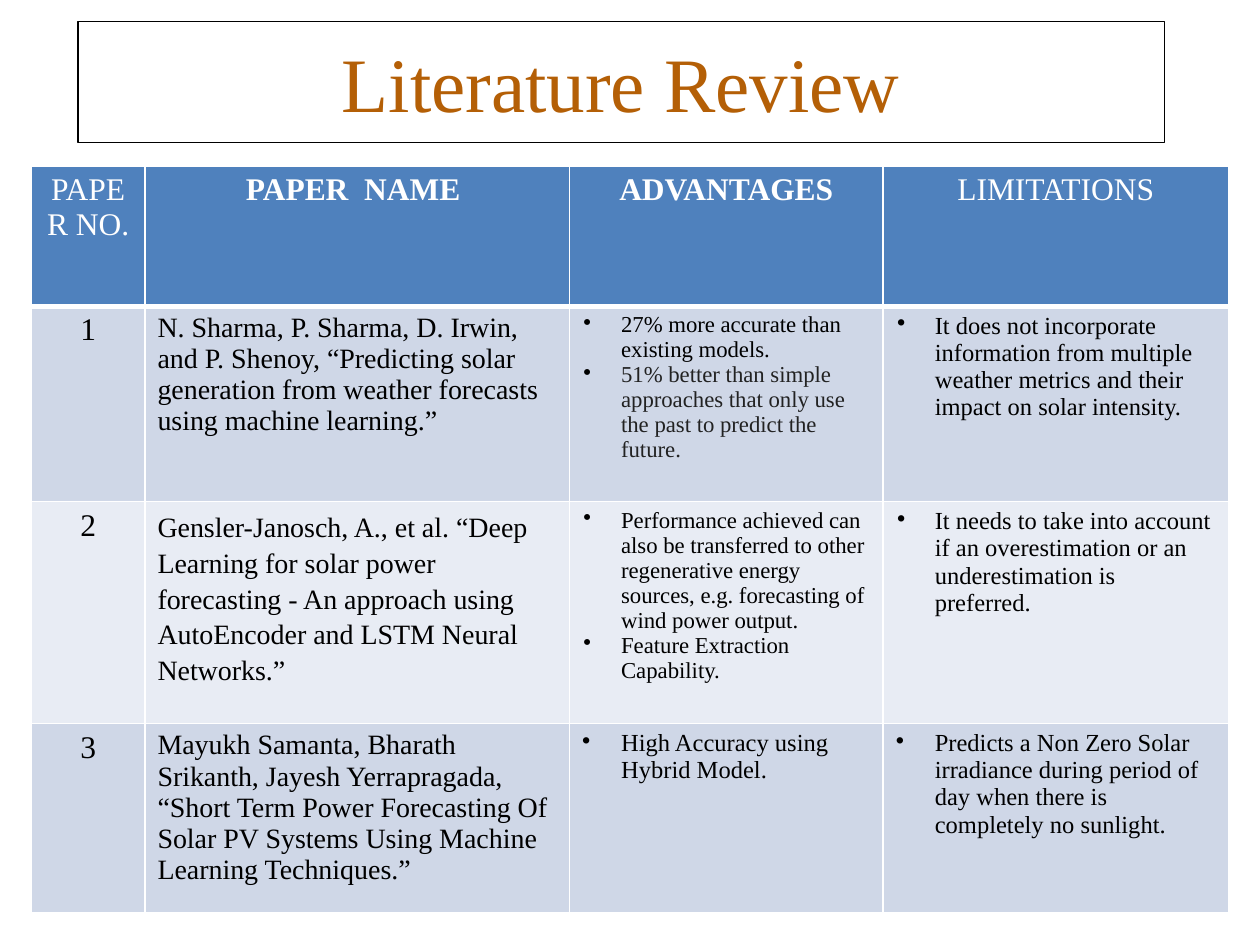
import dataclasses

import lxml.etree
import pptx
import pptx.dml.color
import pptx.enum.shapes
import pptx.enum.text
import pptx.oxml.ns
import pptx.util

ALIGN = pptx.enum.text.PP_ALIGN


@dataclasses.dataclass(frozen=True)
class Theme:
    """Colours, type sizes and font of the slide."""

    font: str = "Times New Roman"
    title: str = "B45F06"
    ink: str = "000000"
    soft_ink: str = "222222"
    paper: str = "FFFFFF"
    header: str = "4F81BD"
    bands: tuple = ("CFD7E7", "E8ECF4")
    title_size: int = 44
    label_size: int = 18
    name_size: int = 16
    point_size: int = 14
    dense_size: int = 13


THEME = Theme()
WIDTH, HEIGHT = pptx.util.Inches(10), pptx.util.Inches(7.5)
COLUMNS = (0.9, 3.37, 2.49, 2.74)
ROWS = (1.11, 1.55, 1.76, 1.5)
HEADINGS = (("PAPER NO.", False), ("PAPER  NAME ", True), ("ADVANTAGES", True), ("LIMITATIONS", False))


@dataclasses.dataclass(frozen=True)
class Paper:
    """One reviewed paper: its citation, advantages and limitation."""

    citation: tuple
    advantages: tuple
    limitation: str
    advantage_size: int = THEME.dense_size
    advantage_inks: tuple = (THEME.ink, THEME.ink)
    spacing: float = 1.0
    hang: float = 0.3


PAPERS = (
    Paper(
        ("N. Sharma, P. Sharma, D. Irwin, and P. Shenoy, “Predicting solar",
         "generation from weather forecasts using machine learning.”"),
        ("27% more accurate than existing models.",
         "51% better than simple approaches that only use the past to predict the future."),
        "It does not incorporate information from multiple weather metrics and their impact on solar intensity.",
        advantage_inks=(THEME.ink, THEME.soft_ink),
    ),
    Paper(
        ("Gensler-Janosch, A., et al. “Deep Learning for solar power forecasting - "
         "An approach using AutoEncoder and LSTM Neural Networks.”",),
        ("Performance achieved can also be transferred to other regenerative energy sources, "
         "e.g. forecasting of wind power output.",
         "Feature Extraction Capability."),
        "It needs to take into account if an overestimation or an underestimation is preferred.",
        spacing=1.15,
    ),
    Paper(
        ("Mayukh Samanta, Bharath Srikanth, Jayesh Yerrapragada, “Short Term Power Forecasting "
         "Of Solar PV Systems Using Machine Learning Techniques.”",),
        ("High Accuracy using Hybrid Model.",),
        "Predicts a Non Zero Solar irradiance during period of day when there is completely no sunlight.",
        advantage_size=THEME.point_size,
        hang=0.31,
    ),
)


def rgb(colour):
    """Return the colour object for a hex string."""
    return pptx.dml.color.RGBColor.from_string(colour)


def add_element(parent, tag, **attributes):
    """Append a DrawingML element to its parent."""
    return lxml.etree.SubElement(parent, pptx.oxml.ns.qn(tag), attributes)


def write(frame, lines, size, inks, align=ALIGN.LEFT, bold=False, spacing=1.0):
    """Fill a text frame with one paragraph for each line."""
    for index, (line, ink) in enumerate(zip(lines, inks)):
        paragraph = frame.paragraphs[0] if index == 0 else frame.add_paragraph()
        paragraph.text = line
        paragraph.alignment = align
        paragraph.line_spacing = spacing
        paragraph.font.name = THEME.font
        paragraph.font.size = pptx.util.Pt(size)
        paragraph.font.bold = bold
        paragraph.font.color.rgb = rgb(ink)


def add_bullets(frame, hang):
    """Give every paragraph a black bullet with a hanging indent."""
    for paragraph in frame.paragraphs:
        properties = paragraph._p.get_or_add_pPr()
        properties.set("marL", str(pptx.util.Inches(0.31)))
        properties.set("indent", str(-pptx.util.Inches(hang)))
        bullet_colour = lxml.etree.Element(pptx.oxml.ns.qn("a:buClr"))
        add_element(bullet_colour, "a:srgbClr", val=THEME.ink)
        bullet = lxml.etree.Element(pptx.oxml.ns.qn("a:buChar"), char="•")
        defaults = properties.find(pptx.oxml.ns.qn("a:defRPr"))
        defaults.addprevious(bullet_colour)
        defaults.addprevious(bullet)


def style_cell(cell, fill, top=1, bottom=1):
    """Draw the white borders of a cell and fill it."""
    properties = cell._tc.get_or_add_tcPr()
    for side, points in (("L", 1), ("R", 1), ("T", top), ("B", bottom)):
        border = add_element(properties, f"a:ln{side}", w=str(pptx.util.Pt(points)))
        add_element(add_element(border, "a:solidFill"), "a:srgbClr", val=THEME.paper)
    cell.fill.solid()
    cell.fill.fore_color.rgb = rgb(fill)


def add_title(slide, left, top, width, height):
    """Place the framed slide title in its box."""
    title = slide.shapes.add_shape(pptx.enum.shapes.MSO_SHAPE.RECTANGLE, left, top, width, height)
    title.shadow.inherit = False
    title.fill.background()
    title.line.color.rgb = rgb(THEME.ink)
    title.line.width = pptx.util.Pt(0.75)
    title.text_frame.word_wrap = True
    title.text_frame.vertical_anchor = pptx.enum.text.MSO_ANCHOR.MIDDLE
    write(title.text_frame, ["Literature Review"], THEME.title_size, [THEME.title], ALIGN.CENTER)


def add_header(review):
    """Fill the heading row of the review table."""
    for cell, (heading, bold) in zip(review.rows[0].cells, HEADINGS):
        style_cell(cell, THEME.header, bottom=3)
        write(cell.text_frame, [heading], THEME.label_size, [THEME.paper], ALIGN.CENTER, bold)


def add_paper(review, number, paper):
    """Fill the row of one reviewed paper."""
    cells = review.rows[number].cells
    for cell in cells:
        style_cell(cell, THEME.bands[(number - 1) % 2], top=3 if number == 1 else 1)
    label, citation, advantages, limitation = (cell.text_frame for cell in cells)
    write(label, [str(number)], THEME.label_size, [THEME.ink], ALIGN.CENTER)
    write(citation, paper.citation, THEME.name_size, [THEME.ink] * len(paper.citation), spacing=paper.spacing)
    write(advantages, paper.advantages, paper.advantage_size, paper.advantage_inks)
    write(limitation, [paper.limitation], THEME.point_size, [THEME.ink])
    for points in (advantages, limitation):
        add_bullets(points, paper.hang)


def add_review(slide, left, top, width, height):
    """Place the table of reviewed papers in its box."""
    review = slide.shapes.add_table(len(ROWS), len(COLUMNS), left, top, width, height).table
    for column, share in zip(review.columns, COLUMNS):
        column.width = int(width * share / sum(COLUMNS))
    for row, share in zip(review.rows, ROWS):
        row.height = int(height * share / sum(ROWS))
    add_header(review)
    for number, paper in enumerate(PAPERS, start=1):
        add_paper(review, number, paper)


def main():
    """Build the literature review slide."""
    deck = pptx.Presentation()
    deck.slide_width, deck.slide_height = WIDTH, HEIGHT
    slide = deck.slides.add_slide(deck.slide_layouts[6])
    add_review(slide, int(WIDTH * 0.025), int(HEIGHT * 0.176), int(WIDTH * 0.95), int(HEIGHT * 0.79))
    add_title(slide, int(WIDTH * 0.062), int(HEIGHT * 0.023), int(WIDTH * 0.862), int(HEIGHT * 0.128))
    deck.save("out.pptx")


if __name__ == "__main__":
    main()
